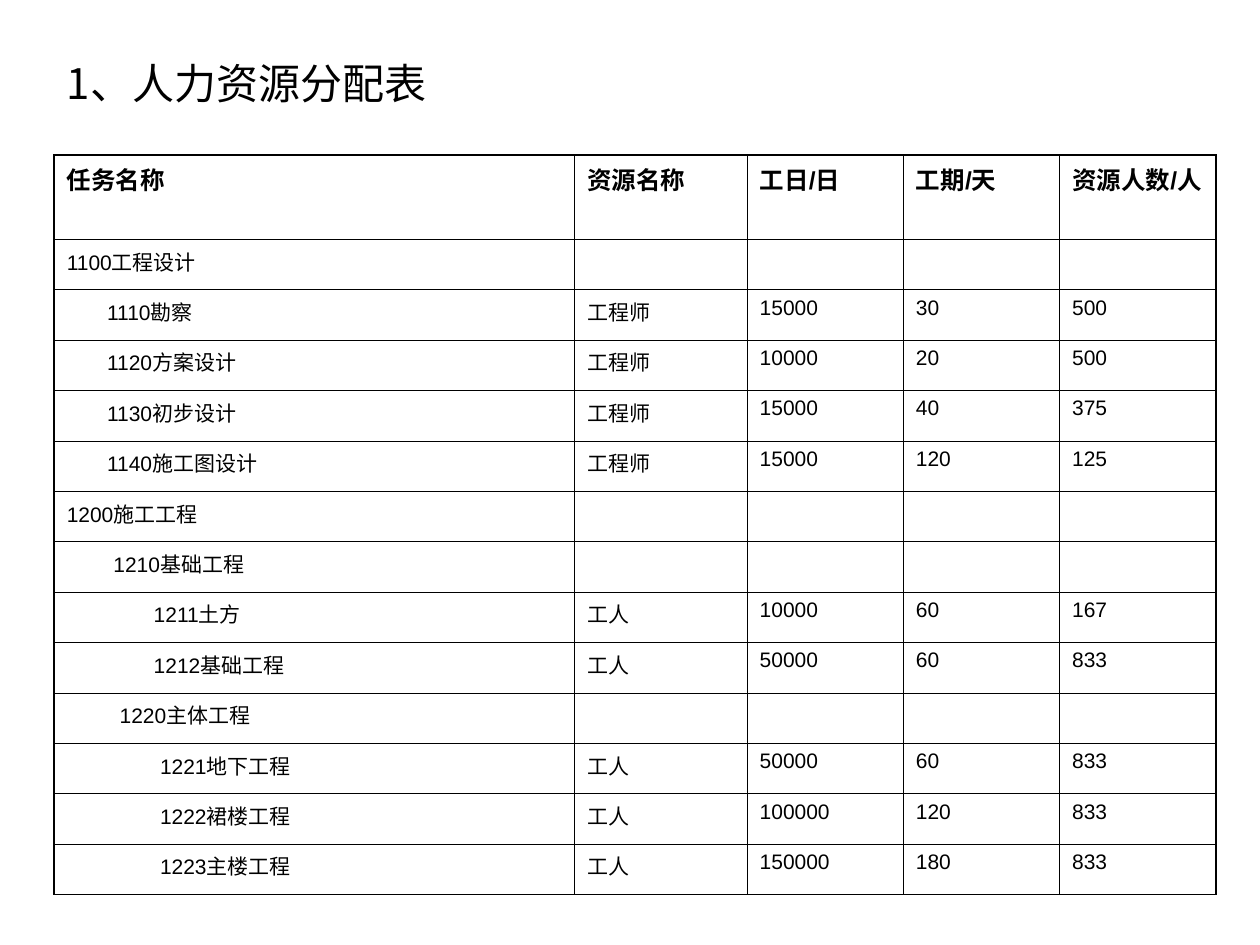
import pptx
import pptx.dml.color
import pptx.enum.text
import pptx.oxml.ns
import pptx.util
from lxml import etree

Inches = pptx.util.Inches
Pt = pptx.util.Pt
qn = pptx.oxml.ns.qn

BLACK = pptx.dml.color.RGBColor(0, 0, 0)
WIDE, HIGH = Inches(10), Inches(7.5)
LEFT, SPAN = 0.043, 0.921  # shares of the slide's width
COLS = [0.413, 0.137, 0.124, 0.124, 0.124]  # shares of the slide's width
HEAD_ROW, ROW = Inches(0.67), Inches(0.4)
CJK = "Noto Sans CJK SC"
THIN, THICK = Pt(0.45), Pt(1.08)
PLAIN_STYLE = "{2D5ABB26-0587-4C30-8999-92F81FD0307C}"

TITLE_FONT = {"name": CJK, "size": Pt(24), "bold": False}
HEAD_FONT = {"name": "Arial", "size": Pt(14), "bold": True}
BODY_FONT = {"name": "Arial", "size": Pt(12), "bold": False}

HEADS = ["任务名称", "资源名称", "工日/日", "工期/天", "资源人数/人"]
# Indent of the task in inches, then the cells of the row
TASKS = [
    (0, "1100工程设计"),
    (0.32, "1110勘察", "工程师", "15000", "30", "500"),
    (0.32, "1120方案设计", "工程师", "10000", "20", "500"),
    (0.32, "1130初步设计", "工程师", "15000", "40", "375"),
    (0.32, "1140施工图设计", "工程师", "15000", "120", "125"),
    (0, "1200施工工程"),
    (0.37, "1210基础工程"),
    (0.69, "1211土方", "工人", "10000", "60", "167"),
    (0.69, "1212基础工程", "工人", "50000", "60", "833"),
    (0.42, "1220主体工程"),
    (0.74, "1221地下工程", "工人", "50000", "60", "833"),
    (0.74, "1222裙楼工程", "工人", "100000", "120", "833"),
    (0.74, "1223主楼工程", "工人", "150000", "180", "833"),
]


def write(para, text, style):
    run = para.add_run()
    run.text = text
    for key, value in style.items():
        setattr(run.font, key, value)
    run.font.color.rgb = BLACK
    props = run.font._element
    etree.SubElement(props, qn("a:ea"), typeface=CJK)


def draw_edge(cell, side, width):
    props = cell._tc.get_or_add_tcPr()
    line = etree.SubElement(props, qn("a:ln" + side), w=str(int(width)))
    fill = etree.SubElement(line, qn("a:solidFill"))
    etree.SubElement(fill, qn("a:srgbClr"), val=str(BLACK))


def fill_cell(cell, text, style, indent, outer):
    """Write one cell; outer names the sides on the table's rim."""
    for side in "LRTB":
        draw_edge(cell, side, THICK if side in outer else THIN)
    cell.fill.background()
    cell.margin_left = cell.margin_right = Inches(0.1)
    cell.margin_top = cell.margin_bottom = Inches(0.05)
    para = cell.text_frame.paragraphs[0]
    if indent:
        para._p.get_or_add_pPr().set("marL", str(Inches(indent)))
    if text:
        write(para, text, style)
    else:
        etree.SubElement(para._p, qn("a:endParaRPr"), sz=str(int(style["size"].pt * 100)))


def add_title(slide, text):
    title = slide.shapes.title
    title.left, title.top = int(WIDE * LEFT), Inches(0.28)
    title.width, title.height = int(WIDE * SPAN), HIGH // 10
    frame = title.text_frame
    frame.word_wrap = True
    frame.vertical_anchor = pptx.enum.text.MSO_ANCHOR.MIDDLE
    para = frame.paragraphs[0]
    para.alignment = pptx.enum.text.PP_ALIGN.LEFT
    write(para, text, TITLE_FONT)


def add_grid(slide):
    rows = [(0, *HEADS)] + TASKS
    tall = HEAD_ROW + ROW * len(TASKS)
    frame = slide.shapes.add_table(len(rows), len(COLS), int(WIDE * LEFT),
                                   Inches(1.23), int(WIDE * SPAN), tall)
    table = frame.table
    table.first_row = table.horz_banding = False
    table._tbl.tblPr.find(qn("a:tableStyleId")).text = PLAIN_STYLE
    for col, share in zip(table.columns, COLS):
        col.width = int(WIDE * share)
    for r, (indent, *texts) in enumerate(rows):
        table.rows[r].height = ROW if r else HEAD_ROW
        style = BODY_FONT if r else HEAD_FONT
        texts += [""] * (len(COLS) - len(texts))
        for c, text in enumerate(texts):
            rim = {"L": c == 0, "R": c == len(COLS) - 1,
                   "T": r == 0, "B": r == len(rows) - 1}
            outer = [side for side, hit in rim.items() if hit]
            fill_cell(table.cell(r, c), text, style, 0 if c else indent, outer)


def main():
    deck = pptx.Presentation()
    deck.slide_width, deck.slide_height = WIDE, HIGH
    slide = deck.slides.add_slide(deck.slide_layouts.get_by_name("Title Only"))
    add_title(slide, "1、人力资源分配表")
    add_grid(slide)
    deck.save("out.pptx")


if __name__ == "__main__":
    main()
